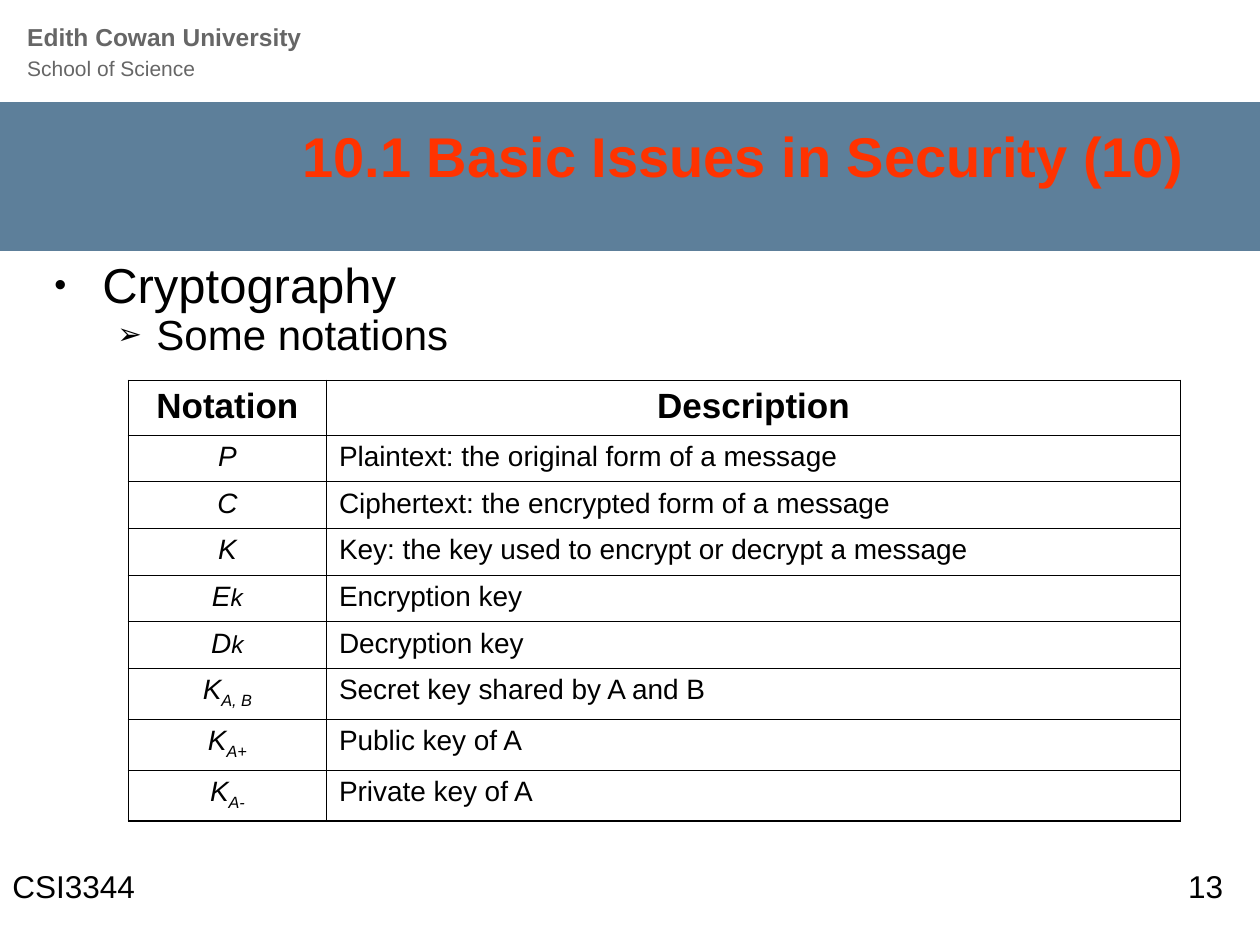
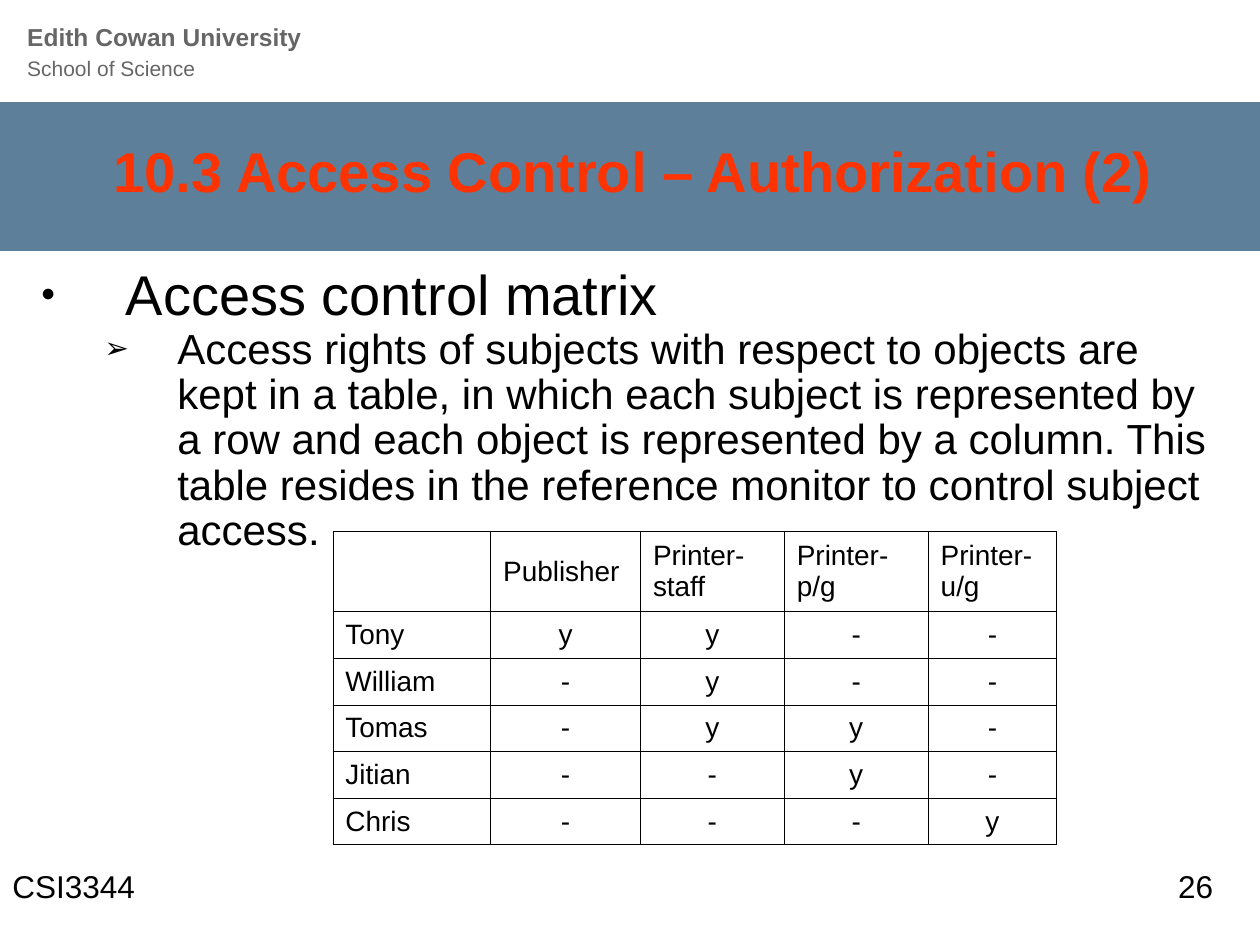
"""Build two lecture slides on security notation and access control."""
from lxml.etree import SubElement
from pptx import Presentation
from pptx.dml.color import RGBColor
from pptx.enum.shapes import MSO_SHAPE
from pptx.enum.text import MSO_ANCHOR, MSO_AUTO_SIZE, PP_ALIGN
from pptx.oxml import parse_xml
from pptx.oxml.ns import nsdecls, qn
from pptx.util import Cm, Pt

FONT = "Arial"
BLACK, GREY, BAND_BLUE, TITLE_RED = "000000", "666666", "5D7F9A", "FF3300"
SLIDE_WIDTH, SLIDE_HEIGHT = 25.4, 19.05
THIN, THICK = 0.45, 1.08
COURSE = "CSI3344"
BULLETS = ["•", "➢"]

NOTATIONS = [
    ("Notation", "", "Description"),
    ("P", "", "Plaintext: the original form of a message"),
    ("C", "", "Ciphertext: the encrypted form of a message"),
    ("K", "", "Key: the key used to encrypt or decrypt a message"),
    ("E", "k", "Encryption key"),
    ("D", "k", "Decryption key"),
    ("K", "A, B", "Secret key shared by A and B"),
    ("K", "A+", "Public key of A"),
    ("K", "A-", "Private key of A"),
]
ACCESS_MATRIX = [
    ("", "Publisher", "Printer-staff", "Printer-p/g", "Printer-u/g"),
    ("Tony", "y", "y", "-", "-"),
    ("William", "-", "y", "-", "-"),
    ("Tomas", "-", "y", "y", "-"),
    ("Jitian", "-", "-", "y", "-"),
    ("Chris", "-", "-", "-", "y"),
]
SLIDES = [
    {
        "title": "10.1 Basic Issues in Security (10)",
        "title_box": (1.27, 2.29, 22.86, 1.68),
        "body_box": (0.84, 5.13, 23.7, 2.54),
        "points": [("Cryptography", 28, 0.97, 0.97),
                   ("Some notations", 24, 2.06, 0.79)],
        "number": "13",
        "number_left": 23.7,
    },
    {
        "title": "10.3 Access Control – Authorization (2)",
        "title_box": (0.64, 2.57, 22.86, 1.7),
        "body_box": (0.58, 5.26, 24.33, 6.2),
        "points": [("Access control matrix", 32, 1.7, 1.7),
                   ("Access rights of subjects with respect to objects are kept in a table, "
                    "in which each subject is represented by a row and each object is "
                    "represented by a column. This table resides in the reference monitor "
                    "to control subject access.", 24, 2.74, 1.47)],
        "number": "26",
        "number_left": 23.5,
    },
]


def color(value):
    return RGBColor.from_string(value)


def format_run(run, size, value=BLACK, bold=False, italic=False):
    font = run.font
    font.name, font.size, font.bold, font.italic = FONT, Pt(size), bold, italic
    font.color.rgb = color(value)


def place(shape, box):
    shape.left, shape.top, shape.width, shape.height = map(Cm, box)


def add_text(slide, box, text, size):
    shape = slide.shapes.add_textbox(*map(Cm, box))
    shape.text_frame.word_wrap = True
    paragraph = shape.text_frame.paragraphs[0]
    paragraph.text = text
    for run in paragraph.runs:
        format_run(run, size)
    return shape


def add_letterhead(slide, layout):
    """Draw the band and school name, then move them to the shared layout."""
    for placeholder in list(layout.placeholders):
        if placeholder.placeholder_format.idx >= 10:
            layout.shapes.element.remove(placeholder.element)
    band = slide.shapes.add_shape(MSO_SHAPE.RECTANGLE, 0, Cm(2.06), Cm(SLIDE_WIDTH), Cm(3))
    band.shadow.inherit = False
    band.fill.solid()
    band.fill.fore_color.rgb = color(BAND_BLUE)
    band.line.fill.background()
    school = add_text(slide, (0.3, 0.33, 14.96, 1.45),
                      "Edith Cowan University\vSchool of Science", 12)
    paragraph = school.text_frame.paragraphs[0]
    paragraph.line_spacing = Pt(16.7)
    for run, size, bold in zip(paragraph.runs, (14, 12), (True, False)):
        format_run(run, size, GREY, bold)
    for shape in (band, school):
        layout.shapes.element.append(shape.element)


def add_bullet(paragraph, character, left, hanging):
    properties = paragraph._p.get_or_add_pPr()
    properties.set("marL", str(Cm(left)))
    properties.set("indent", str(-Cm(hanging)))
    bullet_color = SubElement(properties, qn("a:buClr"))
    SubElement(bullet_color, qn("a:srgbClr")).set("val", BLACK)
    SubElement(properties, qn("a:buSzPct")).set("val", "70000")
    SubElement(properties, qn("a:buFont")).set("typeface", FONT)
    SubElement(properties, qn("a:buChar")).set("char", character)


def fill_slide(slide, content):
    """Fill the title, the list and the footer."""
    title, body = slide.shapes.title, slide.placeholders[1]
    place(title, content["title_box"])
    title.text_frame.text = content["title"]
    title.text_frame.vertical_anchor = MSO_ANCHOR.MIDDLE
    title.text_frame.auto_size = MSO_AUTO_SIZE.NONE
    heading = title.text_frame.paragraphs[0]
    heading.alignment = PP_ALIGN.RIGHT
    format_run(heading.runs[0], 32, TITLE_RED, bold=True)

    place(body, content["body_box"])
    body.text_frame.auto_size = MSO_AUTO_SIZE.NONE
    body.text_frame.text = "\n".join(point[0] for point in content["points"])
    for level, paragraph in enumerate(body.text_frame.paragraphs):
        _, size, left, hanging = content["points"][level]
        paragraph.level = level
        add_bullet(paragraph, BULLETS[level], left, hanging)
        paragraph.line_spacing = 0.9
        paragraph.space_before = Pt(0)
        format_run(paragraph.runs[0], size)

    number_left = content["number_left"]
    add_text(slide, (0, 17.35, 5.92, 1.27), COURSE, 18)
    add_text(slide, (number_left, 17.35, SLIDE_WIDTH - number_left, 1.27), content["number"], 18)


def set_borders(cell, widths):
    """Set the left, right, top and bottom lines of a cell."""
    properties = cell._tc.get_or_add_tcPr()
    for index, (side, width) in enumerate(zip("LRTB", widths)):
        properties.insert(index, parse_xml(
            f'<a:ln{side} {nsdecls("a")} w="{Pt(width)}"><a:solidFill>'
            f'<a:srgbClr val="{BLACK}"/></a:solidFill></a:ln{side}>'))


def add_grid(slide, left, top, columns, rows, outer):
    """Add an unfilled ruled table and return it."""
    frame = slide.shapes.add_table(len(rows), len(columns), Cm(left), Cm(top),
                                   Cm(sum(columns)), Cm(sum(rows)))
    table = frame.table
    table.first_row = table.horz_banding = False
    for column, width in zip(table.columns, columns):
        column.width = Cm(width)
    for row, height in zip(table.rows, rows):
        row.height = Cm(height)
    last_row, last_column = len(rows) - 1, len(columns) - 1
    for row in range(len(rows)):
        for column in range(len(columns)):
            cell = table.cell(row, column)
            cell.fill.background()
            edges = (column == 0, column == last_column, row == 0, row == last_row)
            set_borders(cell, [outer if edge else THIN for edge in edges])
    return table


def write_cell(cell, text, size, centered, bold=False, italic=False):
    paragraph = cell.text_frame.paragraphs[0]
    paragraph.alignment = PP_ALIGN.CENTER if centered else PP_ALIGN.LEFT
    run = paragraph.add_run()
    run.text = text
    format_run(run, size, bold=bold, italic=italic)
    return run


def add_notation_table(slide):
    rows = [1.09] + [0.94] * 5 + [1.02] * 3
    table = add_grid(slide, 2.59, 7.67, [3.99, 17.22], rows, THICK)
    for row, (symbol, suffix, description) in enumerate(NOTATIONS):
        header = row == 0
        size = 20 if header else 16
        write_cell(table.cell(row, 0), symbol, size, True, header, not header)
        write_cell(table.cell(row, 1), description, size, header, header)
        if suffix:
            is_key = suffix == "k"
            run = write_cell(table.cell(row, 0), suffix, 14 if is_key else 16, True, italic=True)
            if not is_key:
                run._r.get_or_add_rPr().set("baseline", "-25000")


def add_access_table(slide):
    rows = [1.6] + [0.94] * 5
    table = add_grid(slide, 6.71, 10.72, [3.18, 3.02, 2.9, 2.9, 2.59], rows, THIN)
    for row, values in enumerate(ACCESS_MATRIX):
        for column, value in enumerate(values):
            cell = table.cell(row, column)
            cell.vertical_anchor = MSO_ANCHOR.MIDDLE
            if value:
                write_cell(cell, value, 16, row > 0 and column > 0)


def main():
    presentation = Presentation()
    presentation.slide_width, presentation.slide_height = Cm(SLIDE_WIDTH), Cm(SLIDE_HEIGHT)
    layout = presentation.slide_layouts[1]
    slides = [presentation.slides.add_slide(layout) for _ in SLIDES]
    add_letterhead(slides[0], layout)
    for slide, content, add_table in zip(slides, SLIDES, (add_notation_table, add_access_table)):
        fill_slide(slide, content)
        add_table(slide)
    presentation.save("out.pptx")


if __name__ == "__main__":
    main()
